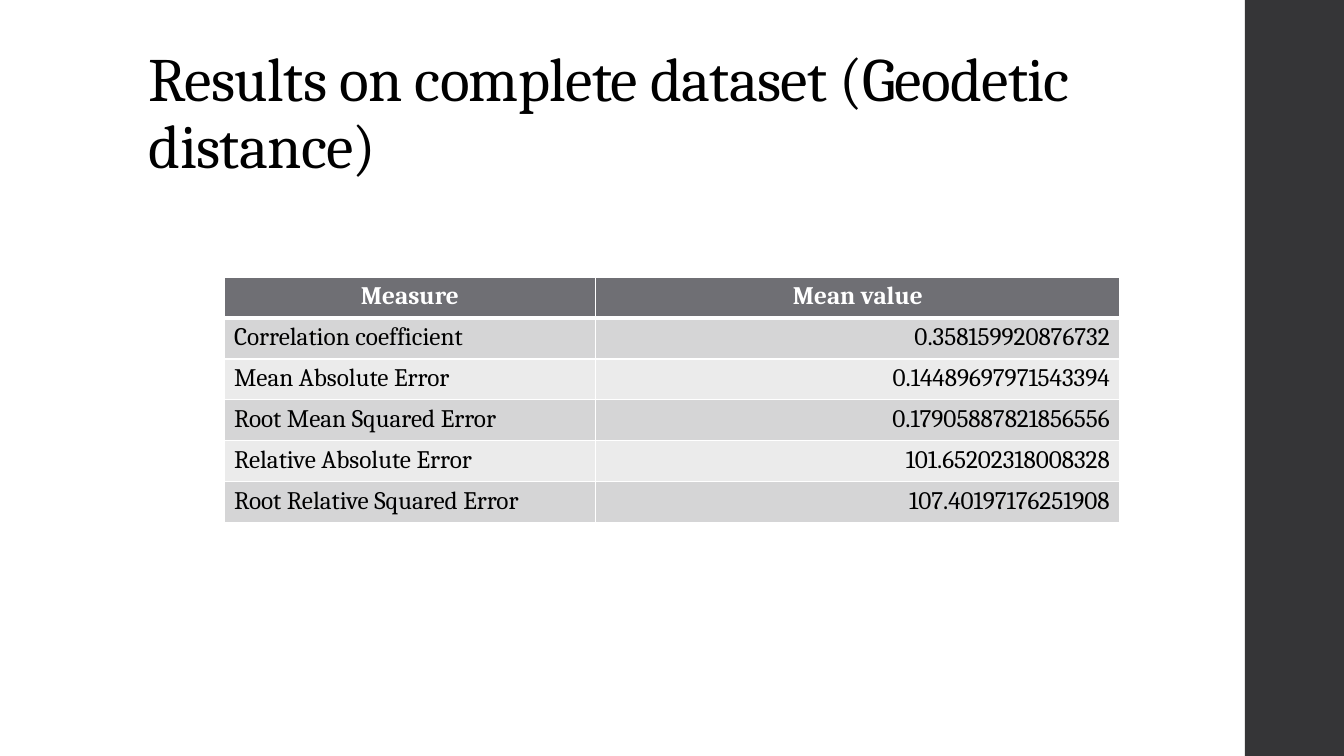
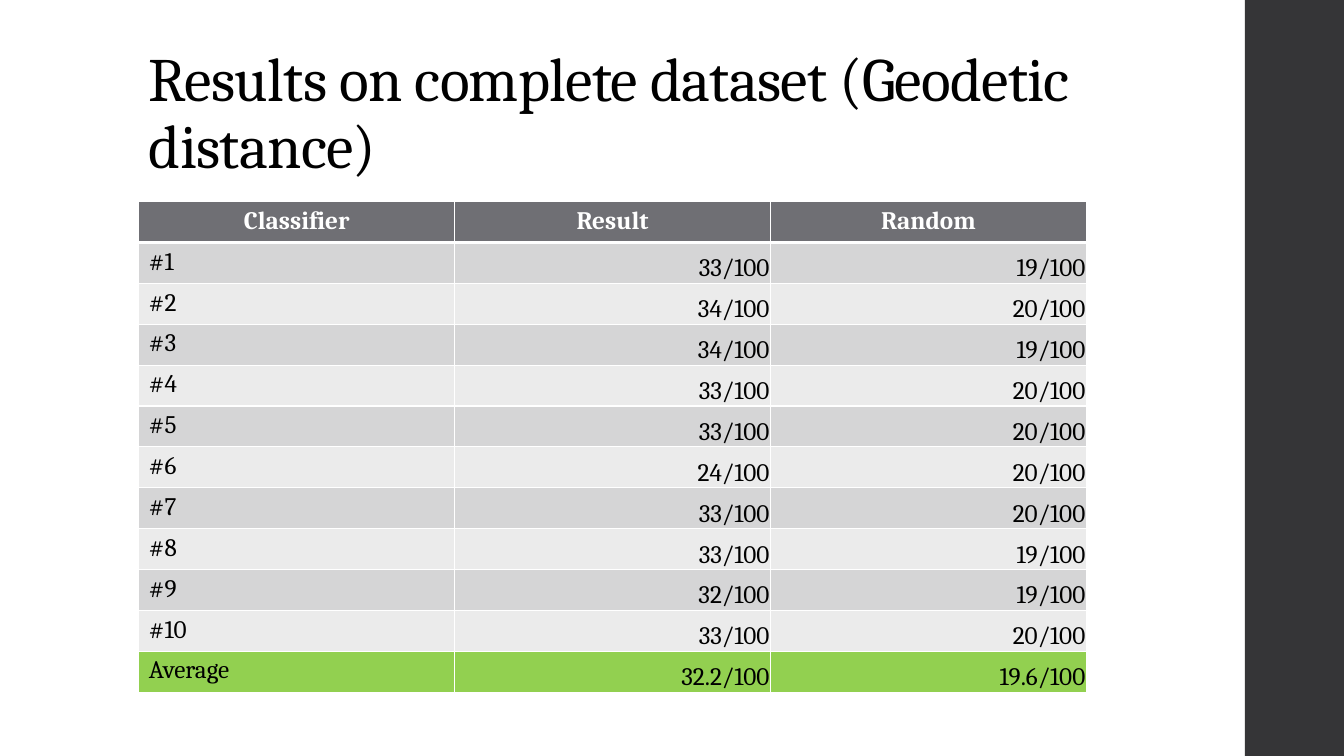
from dataclasses import dataclass

from lxml.etree import SubElement
from pptx import Presentation
from pptx.dml.color import RGBColor
from pptx.enum.shapes import MSO_SHAPE
from pptx.enum.text import MSO_ANCHOR, PP_ALIGN
from pptx.oxml.ns import qn
from pptx.util import Pt


@dataclass(frozen=True)
class Theme:
    font: str = "Cambria"
    title_size: int = 44
    table_size: int = 18
    text: str = "000000"
    white: str = "FFFFFF"
    side_band: str = "353537"
    header: str = "6F6F74"
    odd_row: str = "D5D5D6"
    even_row: str = "EBEBEB"
    average_row: str = "92D050"


THEME = Theme()
SLIDE_WIDTH, SLIDE_HEIGHT = 960, 540
BAND_LEFT = 889.2
TITLE_LEFT = 99.2
ROW_HEIGHT = 29.2
THIN, THICK = 1, 3

TITLE = "Results on complete dataset (Geodetic distance)"

MEASURES = [
    ("Measure", "Mean value"),
    ("Correlation coefficient", "0.358159920876732"),
    ("Mean Absolute Error", "0.14489697971543394"),
    ("Root Mean Squared Error", "0.17905887821856556"),
    ("Relative Absolute Error", "101.65202318008328"),
    ("Root Relative Squared Error", "107.40197176251908"),
]

SCORES = [(33, 19), (34, 20), (34, 19), (33, 20), (33, 20),
          (24, 20), (33, 20), (33, 19), (32, 19), (33, 20)]
CLASSIFIERS = [
    ("Classifier", "Result", "Random"),
    *[(f"#{number}", f"{result}/100", f"{random}/100")
      for number, (result, random) in enumerate(SCORES, start=1)],
    ("Average", "32.2/100", "19.6/100"),
]

# left, top, column widths, rows, tight number cells, closing average row
TABLES = [
    (160, 198, (265.6, 374.4), MEASURES, False, False),
    (TITLE_LEFT, 144, (225.6,) * 3, CLASSIFIERS, True, True),
]


def style_text(paragraph, size, color, bold=False):
    for span in paragraph.runs:
        span.font.name = THEME.font
        span.font.size = Pt(size)
        span.font.bold = bold
        span.font.color.rgb = RGBColor.from_string(color)


def add_cell_borders(cell, top, bottom):
    """Draw white borders; must run before the cell fill is set."""
    properties = cell._tc.get_or_add_tcPr()
    for side, width in (("L", THIN), ("R", THIN), ("T", top), ("B", bottom)):
        line = SubElement(properties, qn(f"a:ln{side}"), w=str(Pt(width)))
        fill = SubElement(line, qn("a:solidFill"))
        SubElement(fill, qn("a:srgbClr"), val=THEME.white)


deck = Presentation()
deck.slide_width, deck.slide_height = Pt(SLIDE_WIDTH), Pt(SLIDE_HEIGHT)
blank_layout = deck.slide_layouts[6]

for left, top, widths, rows, tight_numbers, has_average in TABLES:
    page = deck.slides.add_slide(blank_layout)

    band = page.shapes.add_shape(MSO_SHAPE.RECTANGLE, Pt(BAND_LEFT), 0,
                                 Pt(SLIDE_WIDTH - BAND_LEFT), Pt(SLIDE_HEIGHT))
    band.shadow.inherit = False
    band.fill.solid()
    band.fill.fore_color.rgb = RGBColor.from_string(THEME.side_band)
    band.line.fill.background()

    box = page.shapes.add_textbox(Pt(TITLE_LEFT), Pt(28.8), Pt(763.2), Pt(104.4))
    box.text_frame.word_wrap = True
    box.text_frame.vertical_anchor = MSO_ANCHOR.BOTTOM
    box.text_frame.text = TITLE
    para = box.text_frame.paragraphs[0]
    para.line_spacing = 0.9
    style_text(para, THEME.title_size, THEME.text)
    para.runs[0].font._element.set("spc", "-50")

    table = page.shapes.add_table(len(rows), len(widths), Pt(left), Pt(top),
                                  Pt(sum(widths)), Pt(ROW_HEIGHT * len(rows))).table
    table.first_row = table.horz_banding = False
    for column, width in zip(table.columns, widths):
        column.width = Pt(width)

    for row_index, values in enumerate(rows):
        table.rows[row_index].height = Pt(ROW_HEIGHT)
        is_header = row_index == 0
        if is_header:
            row_fill = THEME.header
        elif has_average and row_index == len(rows) - 1:
            row_fill = THEME.average_row
        else:
            row_fill = THEME.odd_row if row_index % 2 else THEME.even_row

        for column_index, value in enumerate(values):
            cell = table.cell(row_index, column_index)
            add_cell_borders(cell, top=THICK if row_index == 1 else THIN,
                             bottom=THICK if is_header else THIN)
            cell.fill.solid()
            cell.fill.fore_color.rgb = RGBColor.from_string(row_fill)
            cell.text_frame.text = value
            para = cell.text_frame.paragraphs[0]
            style_text(para, THEME.table_size,
                       THEME.white if is_header else THEME.text, bold=is_header)
            if is_header:
                para.alignment = PP_ALIGN.CENTER
            elif column_index > 0:
                para.alignment = PP_ALIGN.RIGHT
                if tight_numbers:
                    cell.vertical_anchor = MSO_ANCHOR.BOTTOM
                    cell.margin_left = cell.margin_right = cell.margin_top = Pt(0.75)
                    cell.margin_bottom = 0

deck.save("out.pptx")
